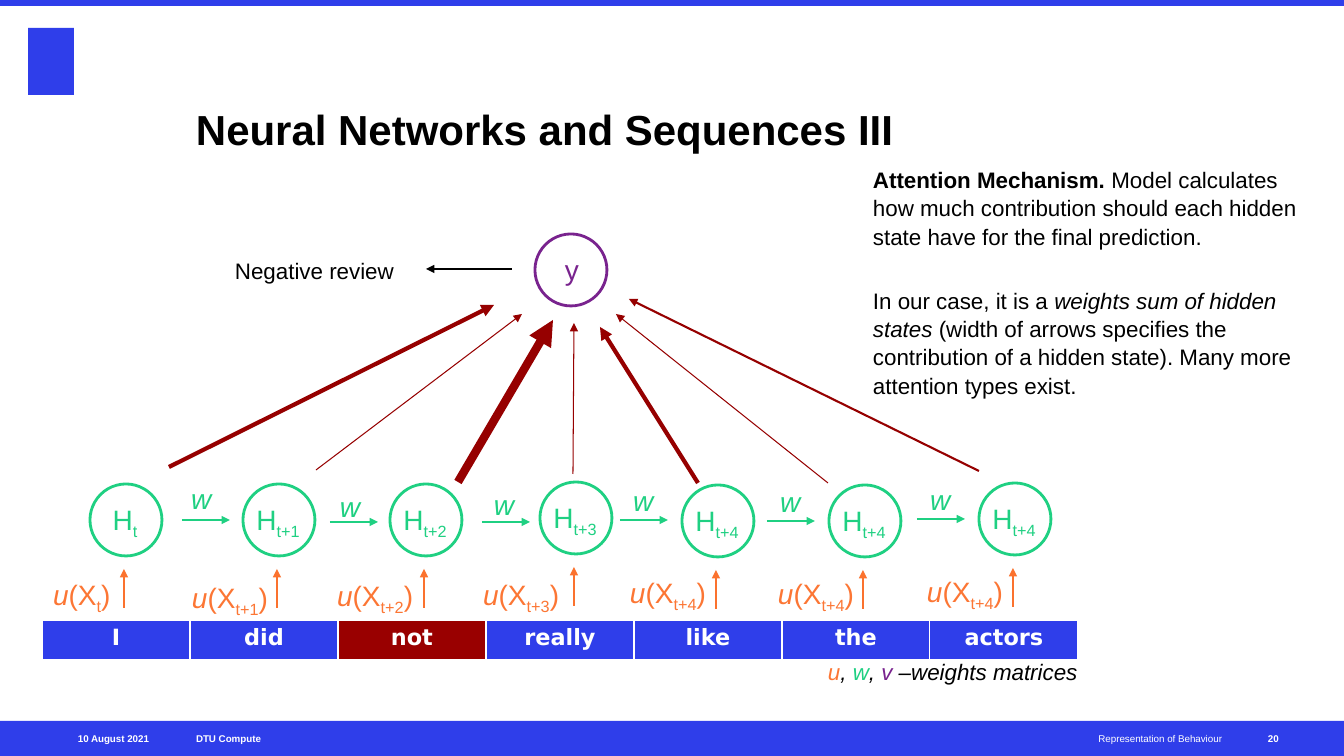
"""Build the slide that explains the attention mechanism over a sequence of hidden states."""
from dataclasses import dataclass

from lxml.etree import SubElement
from pptx import Presentation
from pptx.dml.color import RGBColor
from pptx.enum.shapes import MSO_CONNECTOR as Connector, MSO_SHAPE as Shape
from pptx.enum.text import MSO_ANCHOR as Anchor, PP_ALIGN as Align
from pptx.oxml.ns import qn
from pptx.util import Pt


@dataclass(frozen=True)
class Theme:
    blue: str = "2F3EEA"
    word_red: str = "990000"
    attention_red: str = "960000"
    green: str = "1FD082"
    orange: str = "FC7634"
    input_arrow: str = "FB722E"
    purple: str = "79238E"
    black: str = "000000"
    white: str = "FFFFFF"
    font: str = "Arial"
    word_font: str = "DejaVu Sans"
    title_size: int = 30
    symbol_size: int = 20
    body_size: int = 16
    footer_size: int = 7


THEME = Theme()
PX = 12192000 / 1344
SLIDE_WIDTH, SLIDE_HEIGHT = 1344, 756
DIAMETER = 72
LINE_SPACING = 1.05

TITLE = "Neural Networks and Sequences III"
FOOTERS = [
    ("10 August 2021", 27, 122, Align.RIGHT, "b"),
    ("DTU Compute", 196, 375, Align.LEFT, "b"),
    ("Representation of Behaviour", 616, 606, Align.RIGHT, ""),
    ("20", 1268, 47, Align.LEFT, "b"),
]
EXPLANATION = [
    [("Attention Mechanism. ", "b"),
     ("Model calculates how much contribution should each hidden state have "
      "for the final prediction.", "")],
    [("In our case, it is a ", ""), ("weights sum of hidden states", "i"),
     (" (width of arrows specifies the contribution of a hidden state). "
      "Many more attention types exist.", "")],
]
LEGEND = [("u", THEME.orange), (", ", THEME.black), ("w", THEME.green), (", ", THEME.black),
          ("v", THEME.purple), (" –weights matrices", THEME.black)]
WORDS = ["I", "did", "not", "really", "like", "the", "actors"]
NEGATION = "not"
WORD_LEFT, WORD_TOP, WORD_WIDTH, WORD_HEIGHT = 42, 620, 148, 41

# (index, state centre, input label corner, attention start, attention end, attention width)
STATES = [
    ("t", (126, 520), (53, 576), (169, 467), (494, 305), 3),
    ("t+1", (279, 520), (192, 579), (316, 470), (522, 314), 0.75),
    ("t+2", (426, 520), (337, 577), (458, 482), (553, 320), 6),
    ("t+3", (576, 518), (483, 576), (573, 474), (574, 323), 0.75),
    ("t+4", (718, 521), (630, 574), (698, 483), (600, 327), 3),
    ("t+4", (865, 521), (778, 575), (828, 483), (616, 314), 0.75),
    ("t+4", (1015, 519), (927, 573), (979, 471), (629, 299), 1.5),
]
# (transition start, weight label corner)
TRANSITIONS = [
    ((182, 520), (191, 480)), ((330, 522), (340, 488)), ((482, 522), (494, 486)),
    ((620, 520), (633, 482)), ((767, 521), (780, 483)), ((917, 519), (930, 481)),
]
OUTPUT_CENTRE = (571, 270)

deck = Presentation()
deck.slide_width, deck.slide_height = round(SLIDE_WIDTH * PX), round(SLIDE_HEIGHT * PX)
slide = deck.slides.add_slide(deck.slide_layouts[6])


def emu(*lengths):
    return [round(length * PX) for length in lengths]


def add_run(paragraph, text, size, color, style="", font=THEME.font):
    run = paragraph.add_run()
    run.text = text
    run.font.name, run.font.size = font, Pt(size)
    run.font.bold, run.font.italic = "b" in style, "i" in style
    run.font.color.rgb = RGBColor.from_string(color)
    if "_" in style:
        run.font._element.set("baseline", "-25000")


def add_text(box, paragraphs, size, align=Align.LEFT, anchor=Anchor.TOP, wrap=True,
             spacing=LINE_SPACING, gap=0):
    frame = slide.shapes.add_textbox(*emu(*box)).text_frame
    frame.margin_left = frame.margin_top = frame.margin_right = frame.margin_bottom = 0
    frame.word_wrap, frame.vertical_anchor = wrap, anchor
    for order, runs in enumerate(paragraphs):
        paragraph = frame.add_paragraph() if order else frame.paragraphs[0]
        paragraph.alignment, paragraph.line_spacing = align, spacing
        if order:
            paragraph.space_before = Pt(gap)
        for text, color, style in runs:
            add_run(paragraph, text, size, color, style)


def add_block(kind, box, fill, outline=None):
    block = slide.shapes.add_shape(kind, *emu(*box))
    block.shadow.inherit = False
    block.fill.solid()
    block.fill.fore_color.rgb = RGBColor.from_string(fill)
    if outline:
        block.line.color.rgb = RGBColor.from_string(outline)
        block.line.width = Pt(2)
    else:
        block.line.fill.background()


def add_node(centre, color):
    x, y = centre
    add_block(Shape.OVAL, (x - DIAMETER / 2, y - DIAMETER / 2, DIAMETER, DIAMETER),
              THEME.white, color)


def add_arrow(start, end, color, width):
    arrow = slide.shapes.add_connector(Connector.STRAIGHT, *emu(*start, *end))
    arrow.line.color.rgb = RGBColor.from_string(color)
    arrow.line.width = Pt(width)
    SubElement(arrow.line._get_or_add_ln(), qn("a:tailEnd"), type="triangle")
    SubElement(arrow._element.spPr, qn("a:effectLst"))


def add_border(cell, side, width):
    border = SubElement(cell._tc.get_or_add_tcPr(), qn(f"a:{side}"), w=str(Pt(width)))
    SubElement(SubElement(border, qn("a:solidFill")), qn("a:srgbClr"), val=THEME.white)


def add_words():
    table = slide.shapes.add_table(1, len(WORDS), *emu(
        WORD_LEFT, WORD_TOP, WORD_WIDTH * len(WORDS), WORD_HEIGHT)).table
    for column, word in enumerate(WORDS):
        cell = table.cell(0, column)
        for side, width in (("lnL", 1), ("lnR", 1), ("lnT", 1), ("lnB", 3)):
            add_border(cell, side, width)
        cell.fill.solid()
        cell.fill.fore_color.rgb = RGBColor.from_string(
            THEME.word_red if word == NEGATION else THEME.blue)
        paragraph = cell.text_frame.paragraphs[0]
        paragraph.alignment = Align.CENTER
        add_run(paragraph, word, THEME.body_size, THEME.white, "b", THEME.word_font)


def add_frame():
    add_block(Shape.RECTANGLE, (28, 28, 46, 67), THEME.blue)
    add_block(Shape.RECTANGLE, (0, 721, SLIDE_WIDTH, 35), THEME.blue)
    add_block(Shape.RECTANGLE, (0, 0, SLIDE_WIDTH, 6), THEME.blue)
    for text, left, width, align, style in FOOTERS:
        add_text((left, 721, width, 35), [[(text, THEME.white, style)]], THEME.footer_size,
                 align, Anchor.MIDDLE, spacing=1)
    add_text((196, 47, 1026, 107), [[(TITLE, THEME.black, "b")]], THEME.title_size,
             anchor=Anchor.BOTTOM, spacing=1)


def add_network():
    for index, (x, y), (left, top), start, end, width in STATES:
        add_arrow((x - 2, y + 88), (x - 2, y + 49), THEME.input_arrow, 1.5)
        add_node((x, y), THEME.green)
        add_text((x - 37, y - 19, DIAMETER, 34),
                 [[("H", THEME.green, ""), (index, THEME.green, "_")]],
                 THEME.symbol_size, Align.CENTER)
        add_text((left, top, 86, 34),
                 [[("u", THEME.orange, "i"), ("(X", THEME.orange, ""),
                   (index, THEME.orange, "_"), (")", THEME.orange, "")]],
                 THEME.symbol_size, wrap=False)
        add_arrow(start, end, THEME.attention_red, width)
    for (x, y), corner in TRANSITIONS:
        add_arrow((x, y), (x + 48, y), THEME.green, 1.5)
        add_text((*corner, 29, 34), [[("w", THEME.green, "i")]], THEME.symbol_size)
    x, y = OUTPUT_CENTRE
    add_node(OUTPUT_CENTRE, THEME.purple)
    add_text((x - 23, y - 19, 48, 34), [[("y", THEME.purple, "")]], THEME.symbol_size,
             Align.CENTER)
    add_arrow((512, 269), (426, 269), THEME.black, 0.75)


def add_notes_on_network():
    add_text((235, 256, 160, 27), [[("Negative review", THEME.black, "")]],
             THEME.body_size, wrap=False)
    add_text((828, 657, 252, 27), [[(text, color, "i") for text, color in LEGEND]],
             THEME.body_size, wrap=False)
    add_text((873, 165, 450, 234),
             [[(text, THEME.black, style) for text, style in runs] for runs in EXPLANATION],
             THEME.body_size, gap=26)


if __name__ == "__main__":
    add_frame()
    add_words()
    add_network()
    add_notes_on_network()
    deck.save("out.pptx")
